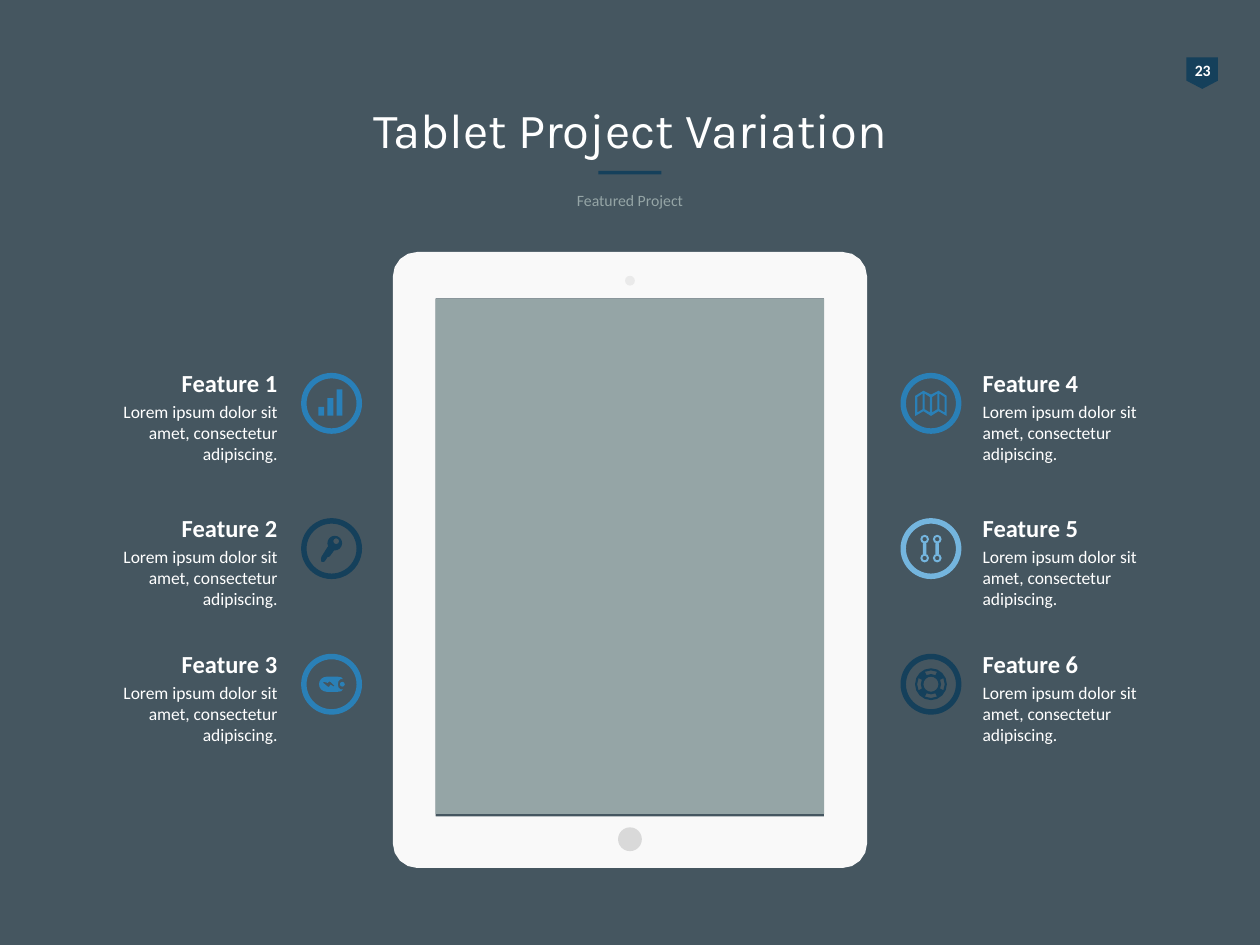
from math import cos, radians, sin

from lxml.etree import SubElement
from pptx import Presentation
from pptx.dml.color import RGBColor
from pptx.enum.shapes import MSO_SHAPE
from pptx.enum.text import MSO_ANCHOR, MSO_AUTO_SIZE, PP_ALIGN
from pptx.oxml.ns import qn
from pptx.util import Pt

PAPER = RGBColor(0xF9, 0xF9, 0xF9)
NIGHT = RGBColor(0x0A, 0x20, 0x2E)
NAVY = RGBColor(0x15, 0x40, 0x5B)
BLUE = RGBColor(0x2A, 0x80, 0xB7)
BRIGHT_BLUE = RGBColor(0x29, 0x80, 0xB9)
SKY = RGBColor(0x74, 0xB5, 0xDE)
WHITE = RGBColor(0xFF, 0xFF, 0xFF)
GREY = RGBColor(0x95, 0xA5, 0xA6)
BUTTON_GREY = RGBColor(0xD9, 0xD9, 0xD9)
CAMERA_GREY = RGBColor(0xEA, 0xEA, 0xEA)

WIDTH, HEIGHT = 720, 540
RING = 34.8
FEATURE_TEXT = "Lorem ipsum dolor sit amet, consectetur adipiscing."


def arc(x, y, radius, start=0, end=360):
    """Points along an arc, angles in degrees running clockwise from the right."""
    step = 45 if radius < 3 else 22.5
    count = max(2, round(abs(end - start) / step))
    angles = [radians(start + (end - start) * i / count) for i in range(count + 1)]
    return [(x + radius * cos(a), y + radius * sin(a)) for a in angles]


def rounded_box(x, y, width, height, radius):
    left, right = x + radius, x + width - radius
    top, bottom = y + radius, y + height - radius
    return (arc(left, top, radius, 180, 270) + arc(right, top, radius, 270, 360)
            + arc(right, bottom, radius, 0, 90) + arc(left, bottom, radius, 90, 180))


def box(x, y, width, height):
    return [(x, y), (x + width, y), (x + width, y + height), (x, y + height)]


# Each icon is a list of outlines around (0, 0); an outline inside another is a hole.
def bars_icon():
    return [box(-7.6 + 5.2 * i, 2 - 5 * i, 3.4, 5 + 5 * i) for i in range(3)]


def key_icon():
    shaft = [(-2.2, -1.1), (-5.8, 4.7), (-6.1, 6), (-5.8, 7.6), (-4.3, 7.6), (-3.6, 6.8),
             (-2.2, 4.7), (-1.4, 4.7), (-0.7, 4), (1.4, 1.1)]
    return [shaft + arc(1.8, -3.1, 4.2, 95, -207), arc(2.6, -4.2, 1.7)]


def battery_icon():
    upper = [(3.6, -4.3), (5.5, -4), (6.5, -2.9), (5, -2.9), (3.9, -1.8)]
    lower = [(x, -y) for x, y in reversed(upper)]
    bolt = [(-5, -1), (-4.3, -1.4), (-2.2, -0.7), (-1.4, -1.6), (-0.7, -1.4),
            (1.6, 0.9), (1.4, 1.4), (-0.7, 0.2), (-1.4, 1.5), (-2.2, 1.4)]
    return [arc(-2.9, 0, 4.3, 90, 270) + upper + [(3.6, 0)] + lower, bolt, arc(6.1, 0, 1.4)]


def map_icon():
    outline = [(-9, -4.3), (-4.3, -7.2), (0, -5), (4.3, -7.2), (9, -4.3),
               (9, 7.2), (4.3, 4.5), (0, 7.2), (-4.3, 4.5), (-9, 7.2)]
    panels = []
    for i in range(4):
        left = -7.8 + 4.2 * i
        outer, inner = (left, left + 3) if i % 2 == 0 else (left + 3, left)
        panels.append([(outer, -3.6), (inner, -5.6), (inner, 3.4), (outer, 5.2)])
    return [outline] + panels


def links_icon():
    outlines = []
    for x in (-3.6, 3.6):
        outlines.append(box(x - 1, -3, 2, 6))
        for y in (-5.4, 5.4):
            outlines += [arc(x, y, 2.5), arc(x, y, 1.3)]
    return outlines


def lifebuoy_icon():
    gaps = [arc(0, 0, 7.9, a - 26, a + 26) + arc(0, 0, 5.8, a + 26, a - 26)
            for a in range(0, 360, 90)]
    return [arc(0, 0, 9.1), arc(0, 0, 4.3)] + gaps


class Board:
    """Holds the slide and draws styled elements on it, lengths in points."""

    text_font = "Calibri"
    title_font = "Karla"

    def __init__(self, slide):
        self.slide = slide
        self.shapes = slide.shapes
        background = slide.background.fill
        background.solid()
        background.fore_color.rgb = PAPER

    def finish(self, shape, color):
        shape.shadow.inherit = False
        shape.fill.solid()
        shape.fill.fore_color.rgb = color
        shape.line.fill.background()
        return shape

    def preset(self, kind, x, y, width, height, color, adjustment=None):
        shape = self.shapes.add_shape(kind, Pt(x), Pt(y), Pt(width), Pt(height))
        if adjustment is not None:
            shape.adjustments[0] = adjustment
        return self.finish(shape, color)

    def outlines(self, contours, color, x=0, y=0):
        """One filled shape made of closed outlines, shifted by x and y."""
        builder = None
        for contour in contours:
            points = [(Pt(x + px), Pt(y + py)) for px, py in contour]
            if builder is None:
                builder = self.shapes.build_freeform(*points[0])
            else:
                builder.move_to(*points[0])
            builder.add_line_segments(points[1:], close=True)
        return self.finish(builder.convert_to_shape(), color)

    def style(self, paragraph, size, color=WHITE, bold=False, align=PP_ALIGN.CENTER, font=None):
        paragraph.alignment = align
        paragraph.font.name = font or self.text_font
        paragraph.font.size = Pt(size)
        paragraph.font.bold = bold
        paragraph.font.color.rgb = color

    def text(self, x, y, width, height, words, size, wrap=True, **look):
        frame = self.shapes.add_textbox(Pt(x), Pt(y), Pt(width), Pt(height)).text_frame
        frame.word_wrap = wrap
        frame.text = words
        self.style(frame.paragraphs[0], size, **look)
        return frame

    def veil(self, color, opacity):
        """Tints the whole slide, below the title."""
        cover = self.preset(MSO_SHAPE.RECTANGLE, 0, 0, WIDTH, HEIGHT, color)
        srgb = cover.element.spPr.find(".//" + qn("a:srgbClr"))
        SubElement(srgb, qn("a:alpha"), val=str(opacity * 1000))
        self.shapes.title.element.addprevious(cover.element)

    def title(self, words):
        heading = self.shapes.title
        heading.left, heading.top, heading.width, heading.height = map(Pt, (36, 58.3, 648, 31))
        frame = heading.text_frame
        frame.text = words
        frame.auto_size = MSO_AUTO_SIZE.NONE
        frame.vertical_anchor = MSO_ANCHOR.MIDDLE
        self.style(frame.paragraphs[0], 28, font=self.title_font)

    def feature(self, name, ring_x, text_x, y, align, icon, color):
        self.preset(MSO_SHAPE.DONUT, ring_x - RING / 2, y - RING / 2, RING, RING, color, 0.09)
        self.outlines(icon(), color, ring_x, y)
        frame = self.text(text_x, y - 23.8, 118.8, 47.5, name, 14, bold=True, align=align)
        description = frame.add_paragraph()
        description.text = FEATURE_TEXT
        description.space_before = Pt(2)
        self.style(description, 10, align=align)

    def tablet(self):
        self.outlines([rounded_box(224.5, 144, 271, 352, 14), box(249, 170.6, 222, 296)], PAPER)
        self.preset(MSO_SHAPE.OVAL, 353.2, 472.8, 13.6, 13.6, BUTTON_GREY)
        self.preset(MSO_SHAPE.OVAL, 357.2, 157.6, 5.6, 5.6, CAMERA_GREY)
        self.preset(MSO_SHAPE.RECTANGLE, 249, 170.6, 222, 294.5, GREY)


def main():
    deck = Presentation()
    deck.slide_width, deck.slide_height = Pt(WIDTH), Pt(HEIGHT)
    board = Board(deck.slides.add_slide(deck.slide_layouts[5]))

    board.veil(NIGHT, 75)
    page_tag = board.preset(MSO_SHAPE.PENTAGON, 678, 32.8, 18, 18, NAVY, 0.26)
    page_tag.rotation = 90
    board.text(675.4, 31, 23.8, 13.7, "23", 9, wrap=False, bold=True)
    board.title("Tablet Project Variation")
    board.text(36, 105.2, 648, 13.7, "Featured Project", 9, color=GREY)
    board.preset(MSO_SHAPE.RECTANGLE, 342, 97.6, 36, 2, NAVY)

    rows = (230.5, 313.5, 391)
    columns = (
        (189.5, 46.8, PP_ALIGN.RIGHT,
         ((bars_icon, BRIGHT_BLUE), (key_icon, NAVY), (battery_icon, BLUE))),
        (532, 554.4, PP_ALIGN.LEFT,
         ((map_icon, BLUE), (links_icon, SKY), (lifebuoy_icon, NAVY))),
    )
    number = 1
    for ring_x, text_x, align, icons in columns:
        for y, (icon, color) in zip(rows, icons):
            board.feature(f"Feature {number}", ring_x, text_x, y, align, icon, color)
            number += 1
    board.tablet()
    deck.save("out.pptx")


if __name__ == "__main__":
    main()
